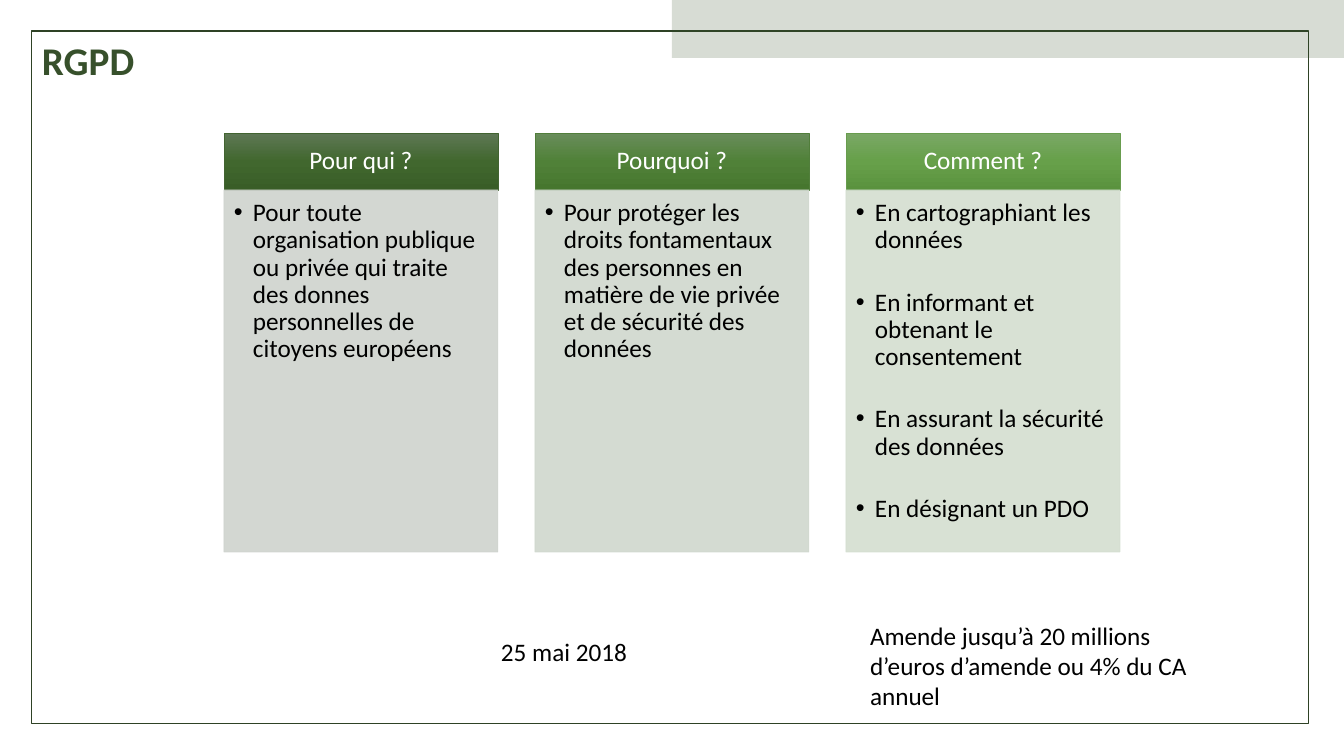
from lxml import etree
from pptx import Presentation
from pptx.dml.color import RGBColor
from pptx.enum.shapes import MSO_SHAPE
from pptx.enum.text import MSO_ANCHOR, MSO_AUTO_SIZE, PP_ALIGN
from pptx.oxml.ns import qn
from pptx.util import Emu, Pt

RECTANGLE = MSO_SHAPE.RECTANGLE
TOP, MIDDLE = MSO_ANCHOR.TOP, MSO_ANCHOR.MIDDLE
LEFT, CENTER = PP_ALIGN.LEFT, PP_ALIGN.CENTER
NO_AUTOFIT = MSO_AUTO_SIZE.NONE
TITLE_ONLY = 5
EMU_PER_PX = 914400 / 100.8

COLORS = {
    "frame": "2E4225",
    "green": "37502B",
    "text": "000000",
    "white": "FFFFFF",
}


def px(length):
    return Emu(round(length * EMU_PER_PX))


class SlideBuilder:
    font_name = "Calibri"
    text_size = 18
    default_insets = (10, 5, 10, 5)

    def __init__(self, deck):
        self.page = deck.slides.add_slide(deck.slide_layouts[TITLE_ONLY])

    def add_span(self, para, text, color, size=text_size, bold=False):
        span = para.add_run()
        span.text = text
        span.font.name = self.font_name
        span.font.size = Pt(size)
        span.font.bold = bold
        span.font.color.rgb = RGBColor.from_string(color)

    def prepare_frame(self, box, anchor=TOP, insets=default_insets):
        frame = box.text_frame
        frame.word_wrap = True
        frame.auto_size = NO_AUTOFIT
        frame.vertical_anchor = anchor
        (frame.margin_left, frame.margin_top,
         frame.margin_right, frame.margin_bottom) = map(px, insets)
        return frame

    def title(self, text, left, top, width, height):
        box = self.page.shapes.title
        box.left, box.top, box.width, box.height = map(px, (left, top, width, height))
        para = self.prepare_frame(box, MIDDLE).paragraphs[0]
        para.alignment = LEFT
        self.add_span(para, text, COLORS["green"], size=28, bold=True)

    def rectangle(self, left, top, width, height, fill=None, line=None,
                  line_width=0.5, opacity=100):
        box = self.page.shapes.add_shape(RECTANGLE, *map(px, (left, top, width, height)))
        box.shadow.inherit = False
        if fill:
            box.fill.solid()
            box.fill.fore_color.rgb = RGBColor.from_string(fill)
        else:
            box.fill.background()
        if line:
            box.line.color.rgb = RGBColor.from_string(line)
            box.line.width = Pt(line_width)
        else:
            box.line.fill.background()
        if opacity < 100:
            for color in box._element.spPr.iter(qn("a:srgbClr")):
                etree.SubElement(color, qn("a:alpha"), val=str(opacity * 1000))
        return box

    def shade_downwards(self, box, colors):
        box.fill.gradient()
        box.fill.gradient_angle = 270
        stops = box._element.spPr.find(".//" + qn("a:gsLst"))
        stops[:] = []
        for index, color in enumerate(colors):
            position = 100000 * index // (len(colors) - 1)
            stop = etree.SubElement(stops, qn("a:gs"), pos=str(position))
            etree.SubElement(stop, qn("a:srgbClr"), val=color)

    def heading(self, text, left, top, width, height, gradient, line):
        box = self.rectangle(left, top, width, height, line=line)
        self.shade_downwards(box, gradient)
        para = self.prepare_frame(box, MIDDLE, (14, 8, 14, 8)).paragraphs[0]
        para.alignment = CENTER
        para.line_spacing = 0.9
        self.add_span(para, text, COLORS["white"])

    def bullet_panel(self, items, left, top, width, height, fill):
        box = self.rectangle(left, top, width, height, fill=fill, line=fill, opacity=90)
        frame = self.prepare_frame(box, insets=(10, 10, 14, 16))
        for index, item in enumerate(items):
            para = frame.add_paragraph() if index else frame.paragraphs[0]
            properties = para._p.get_or_add_pPr()
            properties.set("marL", str(px(19)))
            properties.set("indent", str(px(-19)))
            etree.SubElement(properties, qn("a:buFont"), typeface="Arial")
            etree.SubElement(properties, qn("a:buChar"), char="•")
            para.alignment = LEFT
            para.line_spacing = 0.9
            if index:
                para.space_before = Pt(25)
            self.add_span(para, item, COLORS["text"])

    def note(self, text, left, top, width, height):
        box = self.page.shapes.add_textbox(*map(px, (left, top, width, height)))
        para = self.prepare_frame(box).paragraphs[0]
        self.add_span(para, text, COLORS["text"])


COLUMNS = [
    {
        "heading": "Pour qui ?",
        "gradient": ("5F7856", "41672E", "395D27"),
        "line": "426431",
        "panel": "CFD3CE",
        "items": ["Pour toute organisation publique ou privée qui traite "
                  "des donnes personnelles de citoyens européens"],
    },
    {
        "heading": "Pourquoi ?",
        "gradient": ("698D5B", "508138", "46762E"),
        "line": "517E3B",
        "panel": "D0D8CE",
        "items": ["Pour protéger les droits fontamentaux des personnes en "
                  "matière de vie privée et de sécurité des données"],
    },
    {
        "heading": "Comment ?",
        "gradient": ("7AA866", "67A04A", "5A923E"),
        "line": "689C4E",
        "panel": "D4DED0",
        "items": ["En cartographiant les données",
                  "En informant et obtenant le consentement",
                  "En assurant la sécurité des données",
                  "En désignant un PDO"],
    },
]


def main():
    deck = Presentation()
    deck.slide_width, deck.slide_height = px(1344), px(756)
    builder = SlideBuilder(deck)

    # Frame, corner band and title
    builder.rectangle(32, 31, 1277, 693, line=COLORS["frame"], line_width=0.75)
    builder.rectangle(672, 0, 672, 58, fill=COLORS["green"], opacity=20)
    builder.title("RGPD", 32, 31, 522, 58)

    # Three question columns
    first_left, pitch, width = 224, 311, 274
    top, heading_height, panel_height = 133, 57, 362
    for index, column in enumerate(COLUMNS):
        left = first_left + index * pitch
        builder.heading(column["heading"], left, top, width, heading_height,
                        column["gradient"], column["line"])
        builder.bullet_panel(column["items"], left, top + heading_height, width,
                             panel_height, column["panel"])

    # Date and penalty
    builder.note("25 mai 2018", 491, 631, 181, 40)
    builder.note("Amende jusqu’à 20 millions d’euros d’amende ou 4% du CA annuel",
                 860, 615, 338, 102)

    deck.save("out.pptx")


if __name__ == "__main__":
    main()
